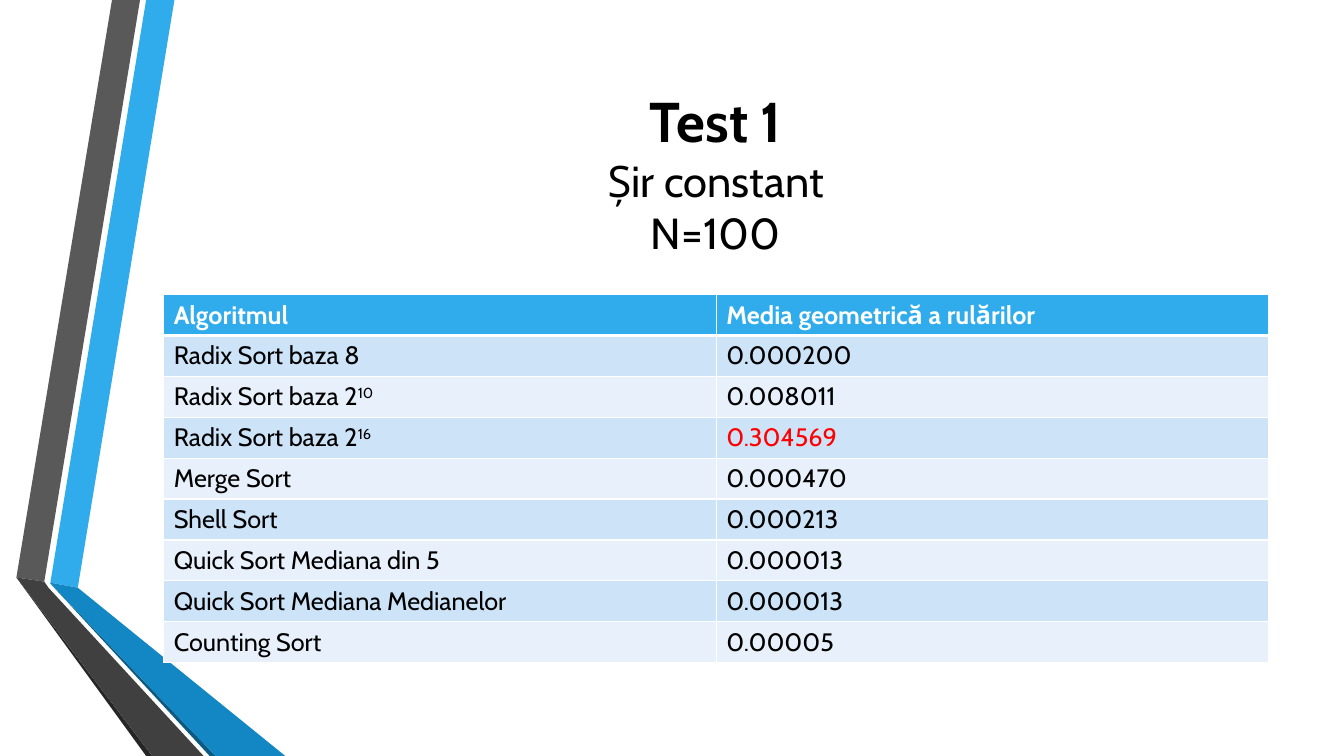
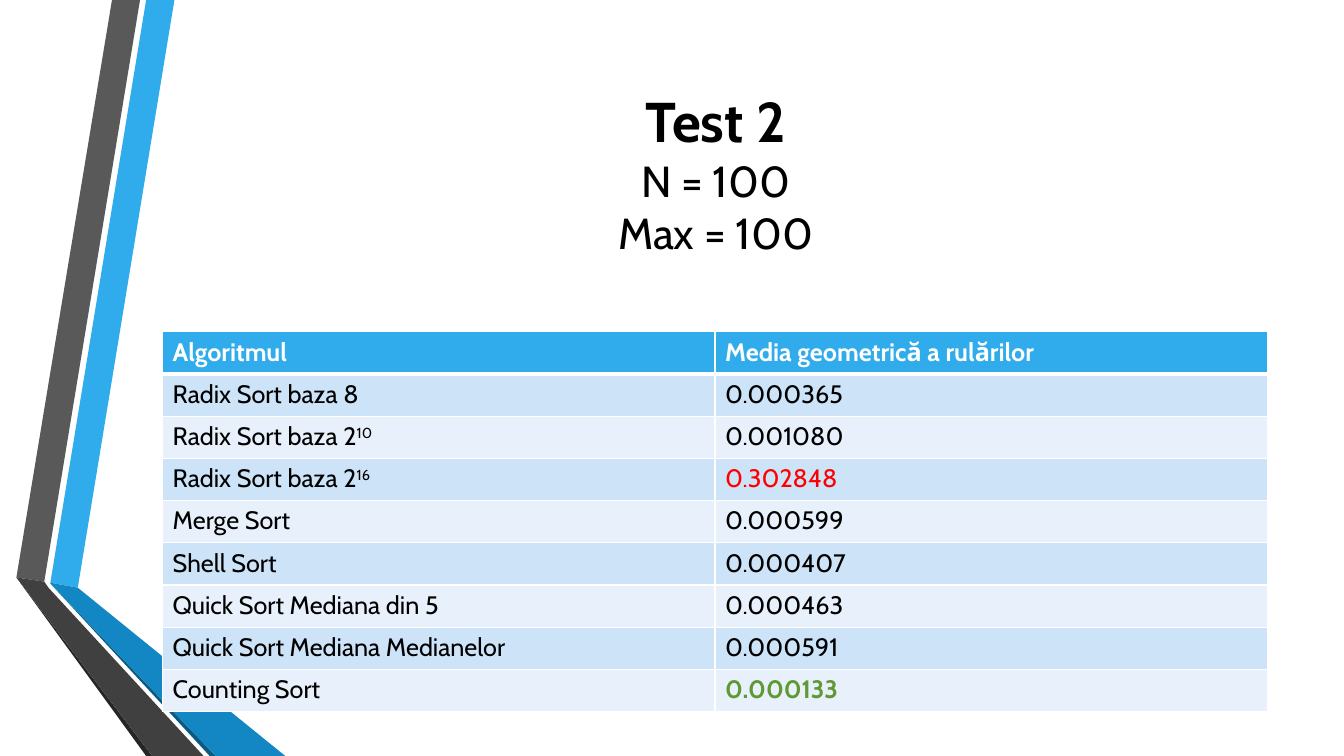
from lxml.etree import SubElement
from pptx import Presentation
from pptx.dml.color import RGBColor
from pptx.enum.text import MSO_ANCHOR, PP_ALIGN
from pptx.oxml.ns import qn
from pptx.util import Pt

# Colours
WHITE = RGBColor(0xFF, 0xFF, 0xFF)
BLACK = RGBColor(0x00, 0x00, 0x00)
RED = RGBColor(0xFF, 0x00, 0x00)
GREEN = RGBColor(0x5F, 0x99, 0x34)
SKY = RGBColor(0x30, 0xAC, 0xEC)
BLUE = RGBColor(0x12, 0x87, 0xC3)
NAVY = RGBColor(0x0C, 0x5A, 0x82)
GREY = RGBColor(0x59, 0x59, 0x59)
DARK = RGBColor(0x40, 0x40, 0x40)
COAL = RGBColor(0x26, 0x26, 0x26)
ODD = RGBColor(0xCD, 0xE3, 0xF8)
EVEN = RGBColor(0xE8, 0xF1, 0xFB)

# Ribbons at the left edge, back to front: colour and corners in points
BANDS = [
    (SKY, [(36, 416.2), (55.6, 419.8), (124.6, 0), (104.4, 0)]),
    (GREY, [(100, 0), (80, 0), (11.7, 412.5), (31.6, 415.5)]),
    (COAL, [(11.7, 412.5), (104.4, 540), (108.7, 540)]),
    (NAVY, [(36, 416.8), (149.8, 540), (154.1, 540)]),
    (BLUE, [(36, 416.8), (154.1, 540), (203.8, 540), (55.6, 419.8), (36, 416.2)]),
    (DARK, [(145.4, 540), (34.6, 419.8), (31.6, 415.5), (11.7, 412.5), (108.7, 540)]),
]

# Table text: each name is a base and an optional exponent
HEAD = [("Algoritmul", ""), ("Media geometrică a rulărilor", "")]
SORTS = [
    ("Radix Sort baza 8", ""),
    ("Radix Sort baza 2", "10"),
    ("Radix Sort baza 2", "16"),
    ("Merge Sort", ""),
    ("Shell Sort", ""),
    ("Quick Sort Mediana din 5", ""),
    ("Quick Sort Mediana Medianelor", ""),
    ("Counting Sort", ""),
]

# Per slide: title, lines below it, table left, top, row height, times, marks
TESTS = [
    ("Test 1", ["Șir constant", "N=100"], 117, 210.5, 29.2,
     ["0.000200", "0.008011", "0.304569", "0.000470",
      "0.000213", "0.000013", "0.000013", "0.00005"],
     {"0.304569": (RED, False)}),
    ("Test 2", ["N = 100", "Max = 100"], 116.2, 237, 30.15,
     ["0.000365", "0.001080", "0.302848", "0.000599",
      "0.000407", "0.000463", "0.000591", "0.000133"],
     {"0.302848": (RED, False), "0.000133": (GREEN, True)}),
]


class Deck:
    font = "Cabin"
    width = 789.2

    def __init__(self):
        self.file = Presentation()
        self.file.slide_width, self.file.slide_height = Pt(960), Pt(540)
        self.slide = None

    def start(self):
        self.slide = self.file.slides.add_slide(self.file.slide_layouts[6])
        for tint, spots in BANDS:
            self.band(tint, spots)

    def band(self, tint, spots):
        first, *rest = [(Pt(x), Pt(y)) for x, y in spots]
        pen = self.slide.shapes.build_freeform(*first)
        pen.add_line_segments(rest, close=True)
        shape = pen.convert_to_shape()
        shape.shadow.inherit = False
        shape.fill.solid()
        shape.fill.fore_color.rgb = tint
        shape.line.fill.background()

    def run(self, para, text, size, tint=BLACK, bold=False):
        run = para.add_run()
        run.text = text
        font = run.font
        font.name, font.size, font.bold = self.font, Pt(size), bold
        font.color.rgb = tint
        return run

    def title(self, head, lines):
        box = self.slide.shapes.add_textbox(Pt(116.6), Pt(54), Pt(self.width), Pt(138.2))
        frame = box.text_frame
        frame.word_wrap = True
        frame.vertical_anchor = MSO_ANCHOR.MIDDLE
        para = frame.paragraphs[0]
        para.alignment = PP_ALIGN.CENTER
        self.run(para, head, 40, bold=True)
        for line in lines:
            para.add_line_break()
            self.run(para, line, 31)

    def edge(self, cell, top, base):
        # Borders must come before the fill in the cell's properties
        props = cell._tc.get_or_add_tcPr()
        sides = [("L", 1), ("R", 1), ("T", top), ("B", base)]
        for spot, (side, width) in enumerate(sides):
            line = SubElement(props, qn(f"a:ln{side}"), w=str(Pt(width)))
            fill = SubElement(line, qn("a:solidFill"))
            SubElement(fill, qn("a:srgbClr"), val=str(WHITE))
            props.insert(spot, line)

    def cell(self, cell, text, power, back, tint, bold):
        cell.fill.solid()
        cell.fill.fore_color.rgb = back
        para = cell.text_frame.paragraphs[0]
        self.run(para, text, 18, tint, bold)
        if power:
            run = self.run(para, power, 18, tint, bold)
            run.font._element.set("baseline", "30000")

    def table(self, left, top, height, times, marks):
        rows = [HEAD] + [[name, (time, "")] for name, time in zip(SORTS, times)]
        grid = self.slide.shapes.add_table(
            len(rows), 2, Pt(left), Pt(top), Pt(self.width), Pt(height * len(rows))).table
        grid.horz_banding = False
        for r, row in enumerate(rows):
            grid.rows[r].height = Pt(height)
            back = SKY if r == 0 else ODD if r % 2 else EVEN
            style = (WHITE, True) if r == 0 else (BLACK, False)
            for c, (text, power) in enumerate(row):
                cell = grid.cell(r, c)
                self.cell(cell, text, power, back, *marks.get(text, style))
                self.edge(cell, 3 if r == 1 else 1, 3 if r == 0 else 1)


def main():
    deck = Deck()
    for head, lines, *data in TESTS:
        deck.start()
        deck.title(head, lines)
        deck.table(*data)
    deck.file.save("out.pptx")


if __name__ == "__main__":
    main()
